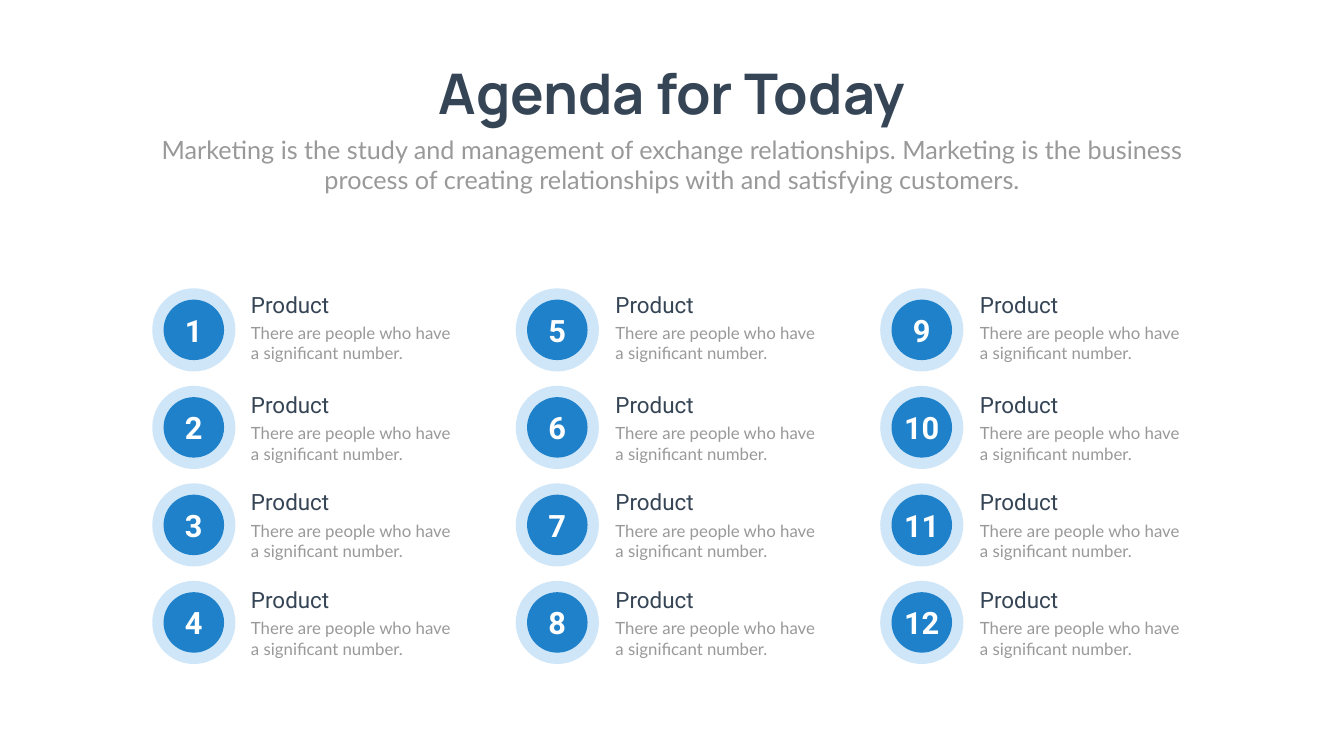
from dataclasses import dataclass
from typing import Optional

from pptx import Presentation
from pptx.dml.color import RGBColor
from pptx.enum.shapes import MSO_SHAPE
from pptx.enum.text import MSO_ANCHOR, PP_ALIGN
from pptx.util import Inches, Pt

NAVY = RGBColor(0x36, 0x45, 0x56)
GRAY = RGBColor(0x99, 0x99, 0x99)
BLUE = RGBColor(0x1E, 0x81, 0xCA)
PALE_BLUE = RGBColor(0xCF, 0xE6, 0xF8)
WHITE = RGBColor(0xFF, 0xFF, 0xFF)

RING_SIZE = 1.65
DISC_SIZE = 1.2
ROW_TOP = 5.72
ROW_PITCH = 1.935
ROWS = 4


@dataclass(frozen=True)
class TextStyle:
    font: str
    size: float
    color: RGBColor
    bold: bool = False
    align: PP_ALIGN = PP_ALIGN.LEFT


@dataclass(frozen=True)
class Column:
    ring_left: float
    text_left: float
    body_width: float


TITLE = TextStyle("Manrope", 80, NAVY, True, PP_ALIGN.CENTER)
SUBTITLE = TextStyle("Lato", 36, GRAY, align=PP_ALIGN.CENTER)
NUMBER = TextStyle("Roboto", 44, WHITE, True, PP_ALIGN.CENTER)
HEADING = TextStyle("Roboto", 32, NAVY)
BODY = TextStyle("Lato", 24, GRAY)

COLUMNS = (
    Column(3.02, 4.88, 4.37),
    Column(10.23, 12.11, 4.3),
    Column(17.46, 19.34, 4.3),
)


def set_text(sp, text: str, style: TextStyle, wrap: bool = True) -> None:
    tf = sp.text_frame
    tf.word_wrap = wrap
    tf.text = text
    p = tf.paragraphs[0]
    p.alignment = style.align
    r = p.runs[0]
    r.font.name = style.font
    r.font.size = Pt(style.size)
    r.font.bold = style.bold
    r.font.color.rgb = style.color


def add_text(s, left: float, top: float, width: float, height: float,
             text: str, style: TextStyle) -> None:
    sp = s.shapes.add_textbox(Inches(left), Inches(top), Inches(width), Inches(height))
    set_text(sp, text, style)


def add_circle(s, center_x: float, center_y: float, size: float,
               color: RGBColor, text: Optional[str] = None) -> None:
    sp = s.shapes.add_shape(
        MSO_SHAPE.OVAL, Inches(center_x - size / 2), Inches(center_y - size / 2),
        Inches(size), Inches(size))
    sp.shadow.inherit = False
    sp.fill.solid()
    sp.fill.fore_color.rgb = color
    sp.line.fill.background()
    if text:
        set_text(sp, text, NUMBER, wrap=False)
        sp.text_frame.vertical_anchor = MSO_ANCHOR.MIDDLE


def add_agenda_item(s, number: int, column: Column, row: int) -> None:
    top = ROW_TOP + row * ROW_PITCH
    text_top = top + (0.05 if row else 0)
    center_x = column.ring_left + RING_SIZE / 2
    center_y = top + RING_SIZE / 2
    add_circle(s, center_x, center_y, RING_SIZE, PALE_BLUE)
    add_circle(s, center_x, center_y, DISC_SIZE, BLUE, str(number))
    add_text(s, column.text_left, text_top, 3.93, 0.64, "Product", HEADING)
    add_text(s, column.text_left, text_top + 0.64, column.body_width, 0.91,
             "There are people who have a significant number.", BODY)


def main() -> None:
    prs = Presentation()
    prs.slide_width = Inches(26.66)
    prs.slide_height = Inches(15)
    s = prs.slides.add_slide(prs.slide_layouts[5])

    title = s.shapes.title
    title.left, title.top = Inches(8.12), Inches(1.12)
    title.width, title.height = Inches(10.42), Inches(1.45)
    set_text(title, "Agenda for Today", TITLE, wrap=False)
    title.text_frame.vertical_anchor = MSO_ANCHOR.TOP

    add_text(s, 2.92, 2.61, 20.82, 1.31,
             "Marketing is the study and management of exchange relationships. "
             "Marketing is the business process of creating relationships with "
             "and satisfying customers.", SUBTITLE)

    for i, column in enumerate(COLUMNS):
        for row in range(ROWS):
            add_agenda_item(s, i * ROWS + row + 1, column, row)

    prs.save("out.pptx")


if __name__ == "__main__":
    main()
